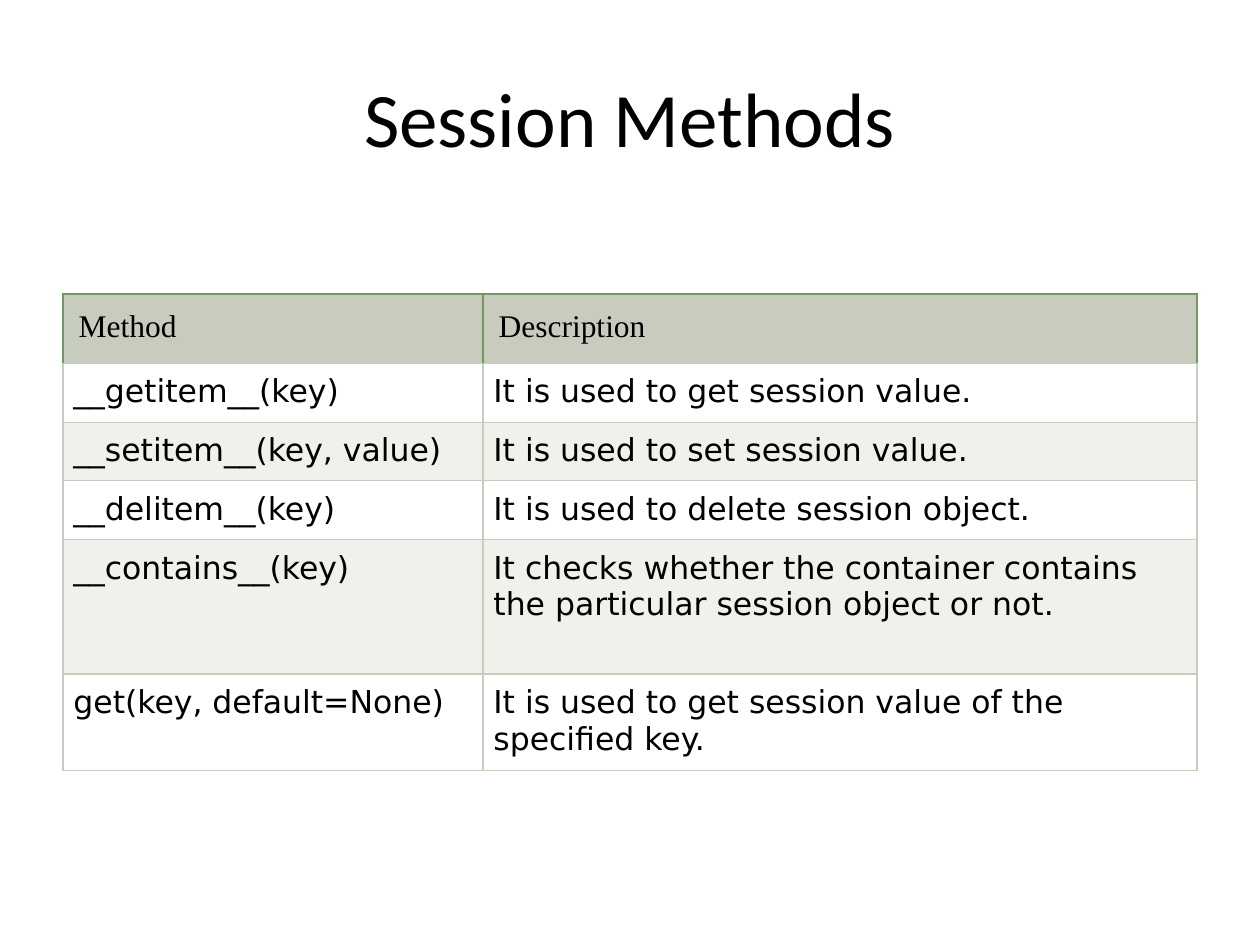
from dataclasses import dataclass

from lxml import etree
from pptx import Presentation
from pptx import util as u
from pptx.dml.color import RGBColor
from pptx.enum import text
from pptx.oxml.ns import qn


@dataclass(frozen=True)
class Theme:
    title_font: str = "Calibri"
    header_font: str = "Times New Roman"
    body_font: str = "DejaVu Sans"
    title_size: int = 44
    table_size: int = 18
    ink: str = "000000"
    grid: str = "C7CCBE"
    header_fill: str = "C7CCBE"
    header_edge: str = "709860"
    row_fills: tuple = ("EFF1EB", "FFFFFF")


theme = Theme()


def format_paragraph(paragraph, font, size):
    paragraph.font.name = font
    paragraph.font.size = u.Pt(size)
    paragraph.font.bold = False
    paragraph.font.color.rgb = RGBColor.from_string(theme.ink)


def add_borders(cell, colors):
    properties = cell._tc.get_or_add_tcPr()
    for side, color in zip("LRTB", colors):
        line = etree.SubElement(properties, qn(f"a:ln{side}"), w=str(u.Pt(0.75)))
        fill = etree.SubElement(line, qn("a:solidFill"))
        etree.SubElement(fill, qn("a:srgbClr"), val=color)


presentation = Presentation()
presentation.slide_width = u.Pt(720)
presentation.slide_height = u.Pt(540)
slide = presentation.slides.add_slide(presentation.slide_layouts[5])

# Title
title = slide.shapes.title
title.left, title.top, title.width, title.height = map(u.Pt, (36, 21.6, 648, 90))
title.text_frame.text = "Session Methods"
title.text_frame.vertical_anchor = text.MSO_ANCHOR.MIDDLE
title_paragraph = title.text_frame.paragraphs[0]
title_paragraph.alignment = text.PP_ALIGN.CENTER
format_paragraph(title_paragraph, theme.title_font, theme.title_size)

# Table of methods
rows = [
    ("Method", "Description"),
    ("__getitem__(key)", "It is used to get session value."),
    ("__setitem__(key, value)", "It is used to set session value."),
    ("__delitem__(key)", "It is used to delete session object."),
    ("__contains__(key)",
     "It checks whether the container contains the particular session object or not."),
    ("get(key, default=None)", "It is used to get session value of the specified key."),
]
column_widths = (240, 408)
row_heights = (39.6, 33.6, 33.6, 33.6, 76.8, 55.2)

table = slide.shapes.add_table(
    len(rows), len(column_widths), u.Pt(36), u.Pt(168),
    u.Pt(sum(column_widths)), u.Pt(sum(row_heights))).table
for column, width in zip(table.columns, column_widths):
    column.width = u.Pt(width)

for row_index, (values, height) in enumerate(zip(rows, row_heights)):
    table.rows[row_index].height = u.Pt(height)
    # The header has its own look; the rows below it alternate
    if row_index == 0:
        font, fill, margin = theme.header_font, theme.header_fill, 9
        borders = [theme.header_edge] * 3 + [theme.grid]
    else:
        font, fill, margin = theme.body_font, theme.row_fills[row_index % 2], 6
        borders = [theme.grid] * 4
    for column_index, value in enumerate(values):
        cell = table.cell(row_index, column_index)
        cell.text = value
        cell.margin_left = cell.margin_right = u.Pt(margin)
        cell.margin_top = cell.margin_bottom = u.Pt(margin)
        add_borders(cell, borders)
        cell.fill.solid()
        cell.fill.fore_color.rgb = RGBColor.from_string(fill)
        format_paragraph(cell.text_frame.paragraphs[0], font, theme.table_size)

# Rows under the header start white
for row_index in range(1, len(rows)):
    for cell in table.rows[row_index].cells:
        cell.fill.fore_color.rgb = RGBColor.from_string(
            theme.row_fills[row_index % 2])

presentation.save("out.pptx")
